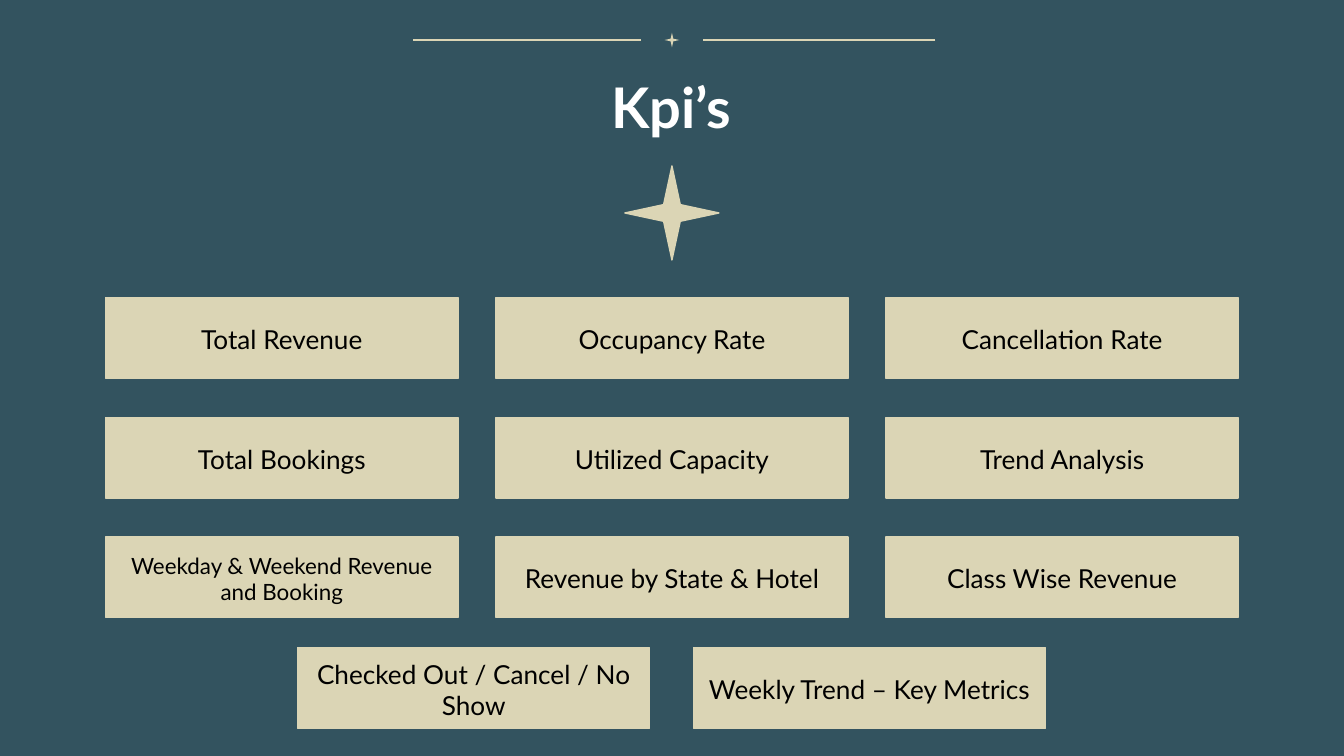
from lxml import etree
from pptx import Presentation
from pptx import util as u
from pptx.dml.color import RGBColor
from pptx.enum import shapes, text
from pptx.oxml import ns

TEAL = RGBColor(0x33, 0x53, 0x5F)
SAND = RGBColor(0xDB, 0xD5, 0xB5)
WHITE = RGBColor(0xFF, 0xFF, 0xFF)
BLACK = RGBColor(0x00, 0x00, 0x00)
FONT = "Lato"
LINE_WIDTH = u.Pt(0.75)

WIDTH = u.Inches(10)
HEIGHT = WIDTH * 9 // 16
COLUMNS = 100
ROWS = COLUMNS * 9 / 16
CARD_WIDTH, CARD_HEIGHT = 26.2, 6

CARD_ROWS = [
    ["Total Revenue", "Occupancy Rate", "Cancellation Rate"],
    ["Total Bookings", "Utilized Capacity", "Trend Analysis"],
    ["Weekday & Weekend Revenue and Booking", "Revenue by State & Hotel", "Class Wise Revenue"],
]
LAST_ROW = ["Checked Out / Cancel / No Show", "Weekly Trend – Key Metrics"]
SMALL_CARDS = {"Weekday & Weekend Revenue and Booking"}


def across(columns):
    return round(WIDTH * columns / COLUMNS)


def down(rows):
    return round(HEIGHT * rows / ROWS)


def place(left, top, width, height):
    return across(left), down(top), across(width), down(height)


def write(shape, wording, size, color, anchor, top_inset, bold=False):
    frame = shape.text_frame
    frame.word_wrap = True
    frame.vertical_anchor = anchor
    frame.margin_left = frame.margin_right = frame.margin_bottom = u.Inches(0.1)
    frame.margin_top = u.Inches(top_inset)
    paragraph = frame.paragraphs[0]
    paragraph.text = wording
    paragraph.alignment = text.PP_ALIGN.CENTER
    paragraph.font.name = FONT
    paragraph.font.size = u.Pt(size)
    paragraph.font.bold = bold
    paragraph.font.color.rgb = color


def add_sand_shape(slide, kind, box, outlined=True):
    shape = slide.shapes.add_shape(kind, *place(*box))
    shape.shadow.inherit = False
    shape.fill.solid()
    shape.fill.fore_color.rgb = SAND
    if outlined:
        shape.line.color.rgb = SAND
        shape.line.width = LINE_WIDTH
    else:
        shape.line.fill.background()
    return shape


def add_star(slide, box, outlined=True):
    star = add_sand_shape(slide, shapes.MSO_SHAPE.STAR_4_POINT, box, outlined)
    star.adjustments[0] = 0.125


def add_ornament(slide, box):
    left, top, width, height = box
    middle = top + height / 2
    add_star(slide, (left + 18.75, top, height, height), outlined=False)
    for start, end in [(left + 17, left), (left + width, left + 21.6)]:
        rule = slide.shapes.add_connector(
            shapes.MSO_CONNECTOR.STRAIGHT,
            across(start), down(middle), across(end), down(middle))
        rule.line.color.rgb = SAND
        rule.line.width = LINE_WIDTH
        etree.SubElement(rule._element.spPr, ns.qn("a:effectLst"))


def add_title(slide, box):
    title = slide.shapes.add_textbox(*place(*box))
    write(title, "Kpi’s", 30, WHITE, text.MSO_ANCHOR.TOP, 0.1, bold=True)


def add_card_row(slide, box, labels):
    left, top, width, height = box
    pitch = (width - CARD_WIDTH) / (len(labels) - 1)
    for index, label in enumerate(labels):
        card = add_sand_shape(slide, shapes.MSO_SHAPE.RECTANGLE,
                              (left + index * pitch, top, CARD_WIDTH, height))
        size = 12 if label in SMALL_CARDS else 14
        write(card, label, size, BLACK, text.MSO_ANCHOR.MIDDLE, 0.12)


def add_cards(slide, box):
    left, top, width, height = box
    pitch = (height - CARD_HEIGHT) / (len(CARD_ROWS) - 1)
    for index, labels in enumerate(CARD_ROWS):
        add_card_row(slide, (left, top + index * pitch, width, CARD_HEIGHT), labels)


def main():
    presentation = Presentation()
    presentation.slide_width, presentation.slide_height = WIDTH, HEIGHT
    slide = presentation.slides.add_slide(presentation.slide_layouts[6])
    slide.background.fill.solid()
    slide.background.fill.fore_color.rgb = TEAL
    add_ornament(slide, (30.7, 2.43, 38.9, 1.1))
    add_title(slide, (26.8, 4.4, 46.3, 6))
    add_star(slide, (46.5, 12.35, 7, 7))
    add_cards(slide, (7.87, 22.15, 84.26, 23.8))
    add_card_row(slide, (22.15, 48.2, 55.65, CARD_HEIGHT), LAST_ROW)
    presentation.save("out.pptx")


if __name__ == "__main__":
    main()
